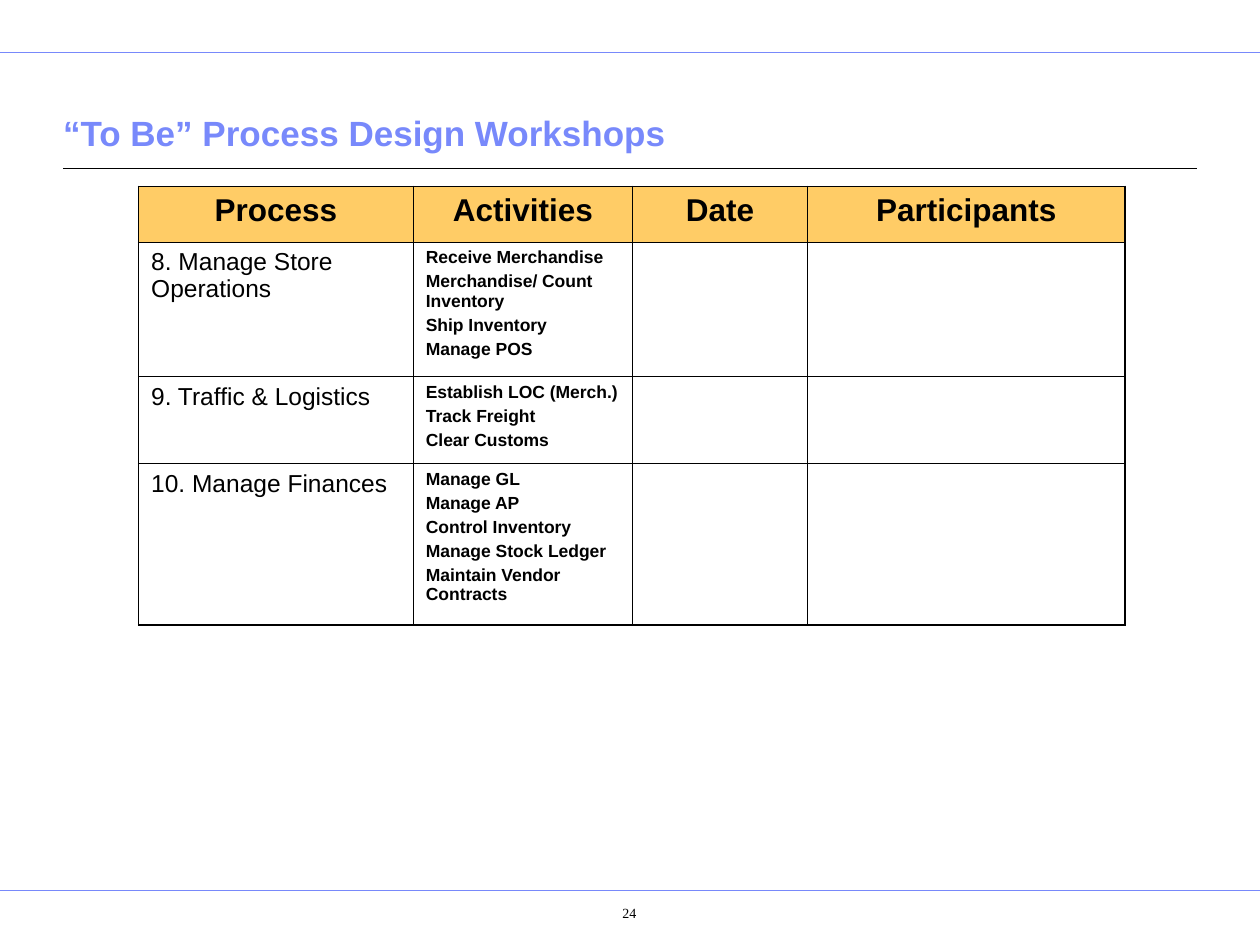
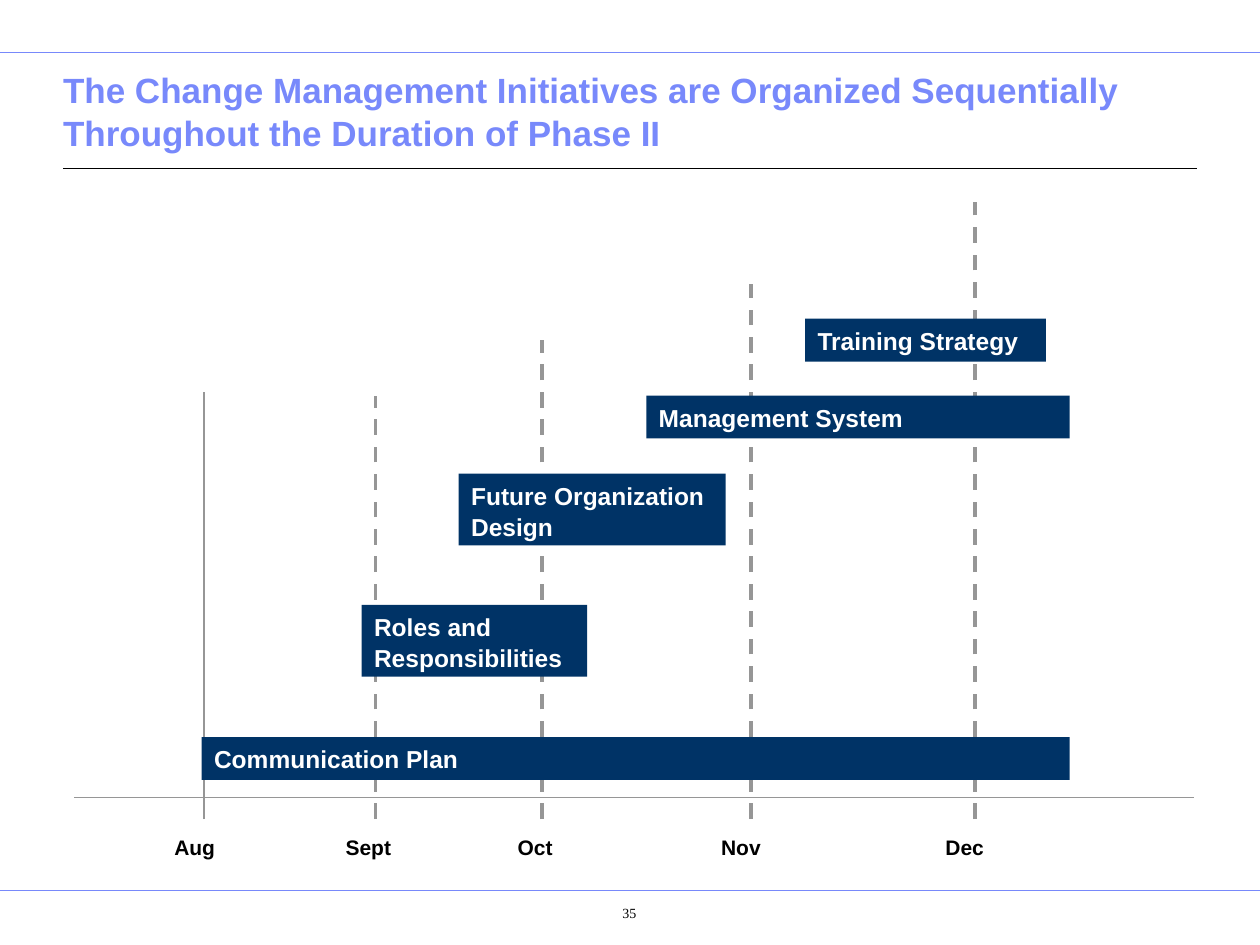
from dataclasses import dataclass

import pptx
import pptx.dml.color
import pptx.enum.dml
import pptx.enum.shapes
import pptx.enum.text
import pptx.oxml
import pptx.oxml.ns
import pptx.util
from lxml import etree

Inches = pptx.util.Inches
Pt = pptx.util.Pt
RGBColor = pptx.dml.color.RGBColor
ALIGN = pptx.enum.text.PP_ALIGN
ANCHOR = pptx.enum.text.MSO_ANCHOR

PERIWINKLE = RGBColor(0x78, 0x89, 0xFB)
AMBER = RGBColor(0xFF, 0xCC, 0x66)
NAVY = RGBColor(0x00, 0x33, 0x66)
GRAY = RGBColor(0x96, 0x96, 0x96)
BLACK = RGBColor(0, 0, 0)
WHITE = RGBColor(0xFF, 0xFF, 0xFF)

SLIDE_WIDTH, SLIDE_HEIGHT = 10, 7.5
SANS, SERIF = "Arial", "Times New Roman"
LINE_SPACING = 1.04
OUTER_BORDER, INNER_BORDER = 1.08, 0.45


@dataclass
class Box:
    """A region of the slide, in inches."""
    left: float
    top: float
    width: float
    height: float

    def inches(self):
        return [Inches(n) for n in (self.left, self.top, self.width, self.height)]


TITLE_BOX = Box(0.5, 0.64, 9, 0.63)
PAGE_NUMBER_BOX = Box(4.27, 7.11, 1.15, 0.35)
TABLE_BOX = Box(1.1, 1.48, 7.83, 3.48)
TIMELINE_BOX = Box(0.59, 1.6, 8.89, 4.9)

HEADERS = ["Process", "Activities", "Date", "Participants"]
COLUMN_WIDTHS = [2.18, 1.74, 1.39, 2.52]
ROW_HEIGHTS = [0.44, 1.07, 0.69, 1.28]
WORKSHOPS = [
    ("8. Manage Store Operations",
     ["Receive Merchandise", "Merchandise/ Count Inventory", "Ship Inventory",
      "Manage POS"]),
    ("9. Traffic & Logistics",
     ["Establish LOC (Merch.)", "Track Freight", "Clear Customs"]),
    ("10. Manage Finances",
     ["Manage GL", "Manage AP", "Control Inventory", "Manage Stock Ledger",
      "Maintain Vendor Contracts"]),
]

# Month, distance from the left of the timeline, line height, label width
MONTHS = [
    ("Aug", 1.03, 3.39, 0.67),
    ("Sept", 2.39, 3.36, 0.67),
    ("Oct", 3.71, 3.8, 0.58),
    ("Nov", 5.37, 4.25, 0.67),
    ("Dec", 7.15, 4.9, 0.67),
]
# Initiative, left and top within the timeline, width, number of text lines
INITIATIVES = [
    ("Training Strategy", 5.8, 0.93, 1.91, 1),
    ("Management System", 4.54, 1.54, 3.36, 1),
    ("Future Organization Design", 3.05, 2.16, 2.12, 2),
    ("Roles and Responsibilities", 2.28, 3.2, 1.79, 2),
    ("Communication Plan", 1.01, 4.25, 6.89, 1),
]
BAR_HEIGHTS = {1: 0.34, 2: 0.57}


def write(text_frame, lines, size, color=BLACK, bold=True, name=SANS,
          align=ALIGN.LEFT, space_before=0, line_spacing=LINE_SPACING):
    text_frame.word_wrap = True
    for index, line in enumerate(lines):
        paragraph = text_frame.paragraphs[0] if index == 0 else text_frame.add_paragraph()
        paragraph.text = line
        paragraph.alignment = align
        paragraph.line_spacing = line_spacing
        paragraph.space_before = Pt(space_before if index else 0)
        paragraph.font.name = name
        paragraph.font.size = Pt(size)
        paragraph.font.bold = bold
        paragraph.font.color.rgb = color


def add_line(slide, start, end, color, width, dashed=False):
    connector = slide.shapes.add_connector(
        pptx.enum.shapes.MSO_CONNECTOR.STRAIGHT, *map(Inches, start + end))
    connector.line.color.rgb = color
    connector.line.width = Pt(width)
    if dashed:
        connector.line.dash_style = pptx.enum.dml.MSO_LINE.DASH
    properties = connector.element.find(pptx.oxml.ns.qn("p:spPr"))
    etree.SubElement(properties, pptx.oxml.ns.qn("a:effectLst"))


def add_title(slide, box, text):
    title = slide.shapes.title
    title.left, title.top, title.width, title.height = box.inches()
    text_frame = title.text_frame
    text_frame.auto_size = pptx.enum.text.MSO_AUTO_SIZE.NONE
    text_frame.vertical_anchor = ANCHOR.BOTTOM
    text_frame.margin_left = text_frame.margin_right = 0
    write(text_frame, [text], 20, PERIWINKLE)


def add_page_number(slide, box, number):
    text_frame = slide.shapes.add_textbox(*box.inches()).text_frame
    text_frame.margin_left = Inches(0.4)
    text_frame.margin_top = Inches(0.07)
    write(text_frame, [str(number)], 8, bold=False, name=SERIF,
          align=ALIGN.CENTER, line_spacing=1)


def add_framed_slide(presentation, title, number):
    """Add a slide with the shared rules, title and page number."""
    slide = presentation.slides.add_slide(presentation.slide_layouts[5])
    for y in (0.42, 7.07):
        add_line(slide, (0, y), (SLIDE_WIDTH, y), PERIWINKLE, 0.5)
    add_line(slide, (0.5, 1.34), (9.5, 1.34), BLACK, 0.75)
    add_title(slide, TITLE_BOX, title)
    add_page_number(slide, PAGE_NUMBER_BOX, number)
    return slide


def set_borders(cell, outer_sides):
    """Border a cell, with a heavier line on the sides at the table's edge."""
    properties = cell._tc.get_or_add_tcPr()
    for side in "LRTB":
        width = Pt(OUTER_BORDER if side in outer_sides else INNER_BORDER)
        properties.append(pptx.oxml.parse_xml(
            f'<a:ln{side} {pptx.oxml.ns.nsdecls("a")} w="{width}"><a:solidFill>'
            f'<a:srgbClr val="{BLACK}"/></a:solidFill></a:ln{side}>'))


def add_workshop_table(slide, box):
    row_count, column_count = len(ROW_HEIGHTS), len(COLUMN_WIDTHS)
    table = slide.shapes.add_table(row_count, column_count, *box.inches()).table
    table.first_row = table.horz_banding = False
    for column, width in zip(table.columns, COLUMN_WIDTHS):
        column.width = Inches(width)
    for row, height in zip(table.rows, ROW_HEIGHTS):
        row.height = Inches(height)

    for r in range(row_count):
        for c in range(column_count):
            cell = table.cell(r, c)
            edges = {"T": r == 0, "B": r == row_count - 1,
                     "L": c == 0, "R": c == column_count - 1}
            set_borders(cell, [side for side, outer in edges.items() if outer])
            if r == 0:
                cell.fill.solid()
                cell.fill.fore_color.rgb = AMBER
                write(cell.text_frame, [HEADERS[c]], 18, align=ALIGN.CENTER, line_spacing=1)
            else:
                cell.fill.background()

    for r, (process, activities) in enumerate(WORKSHOPS, start=1):
        write(table.cell(r, 0).text_frame, [process], 14, bold=False, line_spacing=1)
        write(table.cell(r, 1).text_frame, activities, 10, space_before=2.5, line_spacing=1)


def add_bar(slide, box, text):
    bar = slide.shapes.add_shape(pptx.enum.shapes.MSO_SHAPE.RECTANGLE, *box.inches())
    bar.shadow.inherit = False
    bar.fill.solid()
    bar.fill.fore_color.rgb = NAVY
    bar.line.fill.background()
    bar.text_frame.vertical_anchor = ANCHOR.TOP
    write(bar.text_frame, [text], 14, WHITE)


def add_timeline(slide, box):
    bottom = box.top + box.height
    axis = bottom - 0.17
    add_line(slide, (box.left, axis), (box.left + box.width, axis), GRAY, 1)
    for index, (month, offset, height, label_width) in enumerate(MONTHS):
        x = box.left + offset
        later = index > 0
        add_line(slide, (x, bottom), (x, bottom - height), GRAY,
                 2.25 if later else 1, dashed=later)
        label_box = Box(x - label_width / 2, bottom + 0.07, label_width, 0.3)
        label = slide.shapes.add_textbox(*label_box.inches())
        write(label.text_frame, [month], 12)
    for name, left, top, width, line_count in INITIATIVES:
        add_bar(slide, Box(box.left + left, box.top + top, width,
                           BAR_HEIGHTS[line_count]), name)


def main():
    presentation = pptx.Presentation()
    presentation.slide_width = Inches(SLIDE_WIDTH)
    presentation.slide_height = Inches(SLIDE_HEIGHT)

    slide = add_framed_slide(presentation, "“To Be” Process Design Workshops", 24)
    add_workshop_table(slide, TABLE_BOX)

    slide = add_framed_slide(
        presentation,
        "The Change Management Initiatives are Organized Sequentially "
        "Throughout the Duration of Phase II", 35)
    add_timeline(slide, TIMELINE_BOX)

    presentation.save("out.pptx")


if __name__ == "__main__":
    main()
